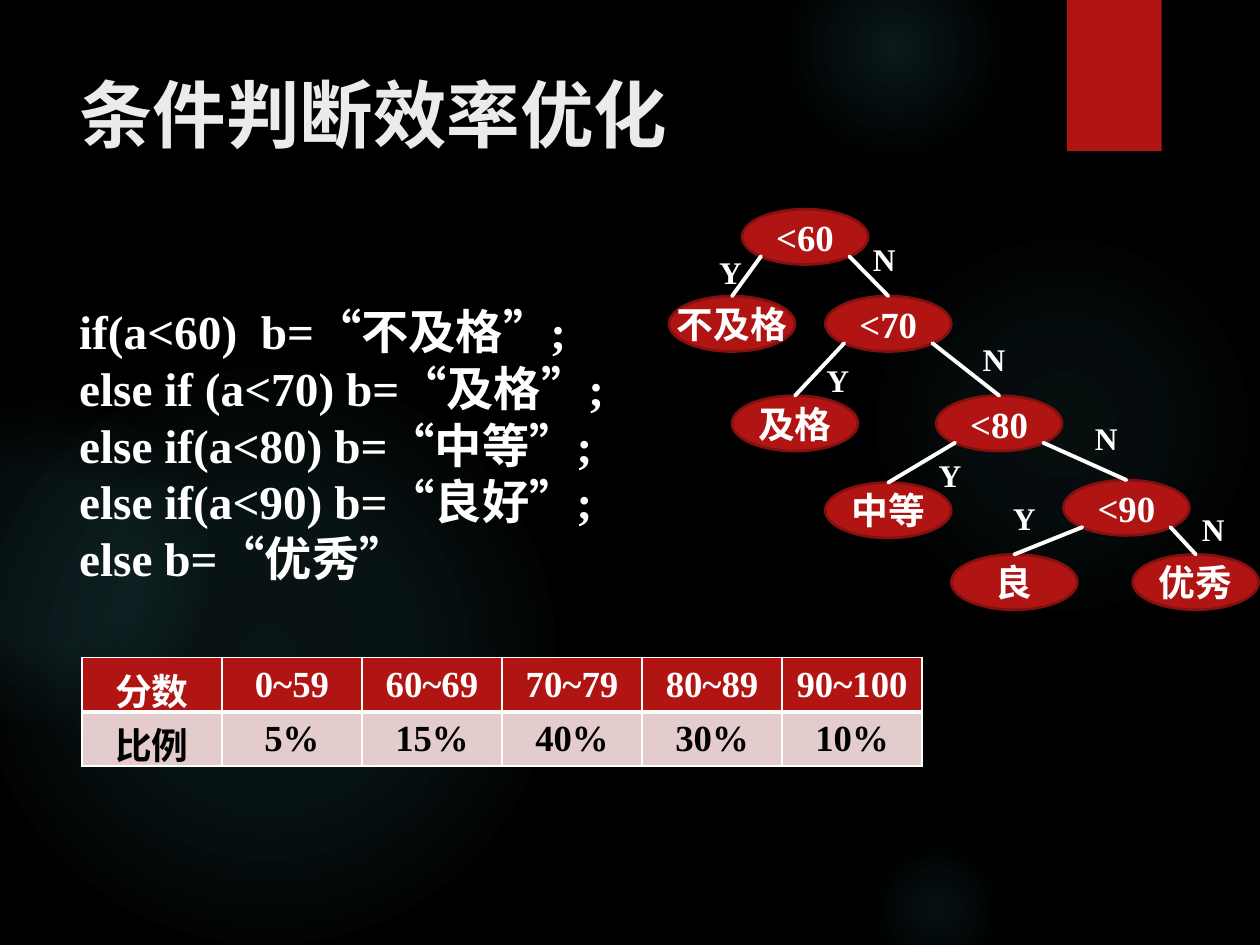
from typing import NamedTuple

import pptx
import pptx.dml.color
import pptx.enum.shapes
import pptx.enum.text
import pptx.oxml
import pptx.oxml.ns
import pptx.util

Inches, Pt = pptx.util.Inches, pptx.util.Pt
RGBColor = pptx.dml.color.RGBColor
SHAPE = pptx.enum.shapes.MSO_SHAPE
ALIGN = pptx.enum.text.PP_ALIGN
ANCHOR = pptx.enum.text.MSO_ANCHOR
NS = pptx.oxml.ns.nsdecls("a")

BLACK = RGBColor(0x00, 0x00, 0x00)
WHITE = RGBColor(0xFF, 0xFF, 0xFF)
TITLE_GREY = RGBColor(0xEB, 0xEB, 0xEB)
RED = RGBColor(0xB0, 0x15, 0x13)
DARK_RED = RGBColor(0x82, 0x10, 0x0E)
PINK = RGBColor(0xE4, 0xCC, 0xCC)
TEAL = RGBColor(0x50, 0xB9, 0xC1)

SERIF = "Times New Roman"
NODE_W, NODE_H = 1, 0.44
DIAGONAL = 0.15  # share of an ellipse's box outside its 45 degree point


class Glow(NamedTuple):
    x: float
    y: float
    size: float
    stops: tuple  # (position %, opacity %)


class Node(NamedTuple):
    text: str
    x: float
    y: float


class Branch(NamedTuple):
    parent: str
    child: str
    label: str
    label_x: float
    label_y: float


GLOWS = [
    Glow(6.89, 1.83, 3.08, ((0, 7), (36, 6), (69, 0))),
    Glow(6.22, -0.5, 1.75, ((0, 14), (36, 7), (73, 0))),
    Glow(6.89, 6.67, 1.08, ((0, 9), (36, 5), (66, 0))),
    Glow(-0.17, 2.92, 4.58, ((0, 11), (36, 10), (75, 0))),
    Glow(-0.92, 3.17, 2.58, ((0, 8), (36, 8), (72, 0))),
]
NODES = [
    Node("<60", 5.89, 1.66),
    Node("不及格", 5.31, 2.35),
    Node("<70", 6.55, 2.35),
    Node("及格", 5.81, 3.14),
    Node("<80", 7.43, 3.14),
    Node("中等", 6.55, 3.83),
    Node("<90", 8.44, 3.81),
    Node("良", 7.55, 4.4),
    Node("优秀", 8.99, 4.4),
]
BRANCHES = [
    Branch("<60", "不及格", "Y", 5.61, 1.96),
    Branch("<60", "<70", "N", 6.83, 1.86),
    Branch("<70", "及格", "Y", 6.46, 2.82),
    Branch("<70", "<80", "N", 7.7, 2.65),
    Branch("<80", "中等", "Y", 7.35, 3.57),
    Branch("<80", "<90", "N", 8.59, 3.28),
    Branch("<90", "良", "Y", 7.94, 3.91),
    Branch("<90", "优秀", "N", 9.44, 4),
]
CODE = [
    "if(a<60)  b=“不及格”;",
    "else if (a<70) b=“及格”;",
    "else if(a<80) b=“中等”;",
    "else if(a<90) b=“良好”;",
    "else b=“优秀”",
]
SCORES = [
    ["分数", "0~59", "60~69", "70~79", "80~89", "90~100"],
    ["比例", "5%", "15%", "40%", "30%", "10%"],
]


def style(p, size: float, color: RGBColor = WHITE, name: str = SERIF, align=ALIGN.LEFT) -> None:
    p.alignment = align
    p.font.size, p.font.name, p.font.bold = Pt(size), name, True
    p.font.color.rgb = color


def add_plain_shape(s, kind, x: float, y: float, w: float, h: float):
    sp = s.shapes.add_shape(kind, Inches(x), Inches(y), Inches(w), Inches(h))
    sp.shadow.inherit = False
    sp.fill.solid()
    sp.fill.fore_color.rgb = RED
    sp.line.fill.background()
    return sp


def add_glow(s, glow: Glow) -> None:
    sp = add_plain_shape(s, SHAPE.OVAL, glow.x, glow.y, glow.size, glow.size)
    stops = "".join(
        f'<a:gs pos="{pos * 1000}"><a:srgbClr val="{TEAL}">'
        f'<a:alpha val="{alpha * 1000}"/></a:srgbClr></a:gs>'
        for pos, alpha in glow.stops)
    gradient = pptx.oxml.parse_xml(
        f'<a:gradFill {NS}><a:gsLst>{stops}</a:gsLst><a:path path="circle">'
        '<a:fillToRect l="50000" t="50000" r="50000" b="50000"/></a:path></a:gradFill>')
    solid = sp.element.spPr.find(pptx.oxml.ns.qn("a:solidFill"))
    solid.getparent().replace(solid, gradient)


def add_text(s, lines: list[str], x: float, y: float, w: float, h: float, size: float) -> None:
    tf = s.shapes.add_textbox(Inches(x), Inches(y), Inches(w), Inches(h)).text_frame
    tf.word_wrap = False
    for i, line in enumerate(lines):
        p = tf.add_paragraph() if i else tf.paragraphs[0]
        p.text = line
        style(p, size)


def add_node(s, node: Node):
    sp = add_plain_shape(s, SHAPE.OVAL, node.x, node.y, NODE_W, NODE_H)
    sp.line.color.rgb, sp.line.width = DARK_RED, Pt(1.5)
    tf = sp.text_frame
    tf.margin_left = tf.margin_right = tf.margin_top = tf.margin_bottom = 0
    tf.word_wrap, tf.vertical_anchor = False, ANCHOR.MIDDLE
    tf.text = node.text
    style(tf.paragraphs[0], 21, align=ALIGN.CENTER)
    return sp


def add_branch(s, parent, child, label: str) -> None:
    """Join the parent's lower left (Y) or lower right (N) to the child's top."""
    share = DIAGONAL if label == "Y" else 1 - DIAGONAL
    x = parent.left + int(parent.width * share)
    y = parent.top + int(parent.height * (1 - DIAGONAL))
    line = s.shapes.add_connector(pptx.enum.shapes.MSO_CONNECTOR.STRAIGHT, x, y, child.left, child.top)
    line.end_connect(child, 0)
    line.line.color.rgb, line.line.width = WHITE, Pt(2.25)
    line.line._get_or_add_ln().set("cap", "rnd")
    line.element.spPr.append(pptx.oxml.parse_xml(f"<a:effectLst {NS}/>"))


def fill_cell(cell, text: str, header: bool) -> None:
    tc_pr = cell._tc.get_or_add_tcPr()
    for side in "LRTB":
        # The rule between the two rows is thicker.
        width = Pt(3 if side == ("B" if header else "T") else 1)
        tc_pr.append(pptx.oxml.parse_xml(
            f'<a:ln{side} {NS} w="{width}"><a:solidFill><a:srgbClr val="{WHITE}"/>'
            f'</a:solidFill></a:ln{side}>'))
    cell.fill.solid()
    cell.fill.fore_color.rgb = RED if header else PINK
    cell.margin_left = cell.margin_right = Inches(0.07)
    cell.margin_top = cell.margin_bottom = Inches(0.04)
    cell.vertical_anchor = ANCHOR.MIDDLE
    cell.text = text
    style(cell.text_frame.paragraphs[0], 21, WHITE if header else BLACK, align=ALIGN.CENTER)


def add_score_table(s) -> None:
    table = s.shapes.add_table(len(SCORES), len(SCORES[0]), Inches(0.65), Inches(5.22),
                               Inches(6.67), Inches(0.85)).table
    for r, row in enumerate(SCORES):
        for c, text in enumerate(row):
            fill_cell(table.cell(r, c), text, header=r == 0)


def set_title(s, text: str) -> None:
    title = s.shapes.title
    title.element.getparent().append(title.element)  # in front of the glows
    title.left, title.top, title.width, title.height = map(Inches, (0.53, 0.5, 7.72, 1.53))
    tf = title.text_frame
    tf.text, tf.vertical_anchor = text, ANCHOR.TOP
    style(tf.paragraphs[0], 42, TITLE_GREY, "TeX Gyre Adventor")


def main() -> None:
    prs = pptx.Presentation()
    prs.slide_width, prs.slide_height = Inches(10), Inches(7.5)
    s = prs.slides.add_slide(prs.slide_layouts[5])
    s.background.fill.solid()
    s.background.fill.fore_color.rgb = BLACK
    for glow in GLOWS:
        add_glow(s, glow)
    add_plain_shape(s, SHAPE.RECTANGLE, 8.47, 0, 0.75, 1.2)
    set_title(s, "条件判断效率优化")
    add_text(s, CODE, 0.53, 2.35, 4.36, 2.37, 27)
    nodes = {node.text: add_node(s, node) for node in NODES}
    for b in BRANCHES:
        add_branch(s, nodes[b.parent], nodes[b.child], b.label)
    for b in BRANCHES:
        add_text(s, [b.label], b.label_x, b.label_y, 0.32, 0.4, 18)
    add_score_table(s)
    prs.save("out.pptx")


if __name__ == "__main__":
    main()
